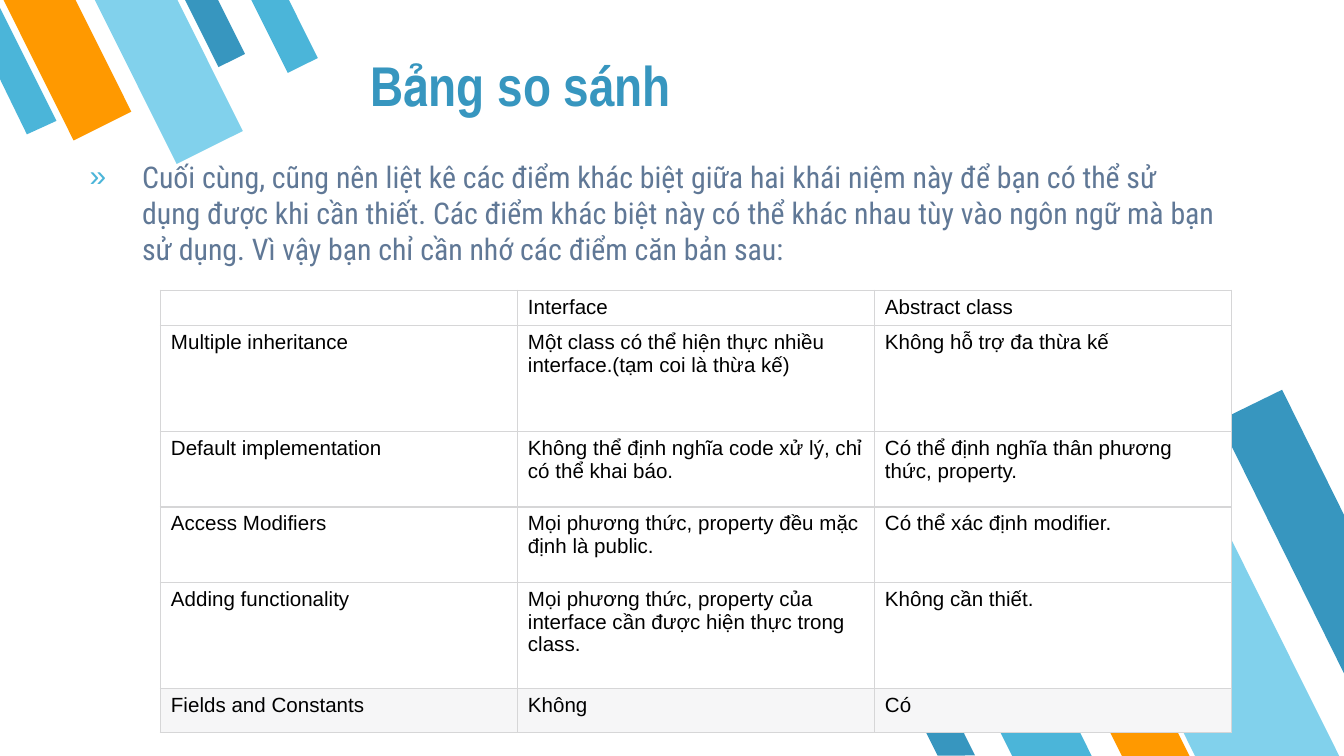
from collections import namedtuple

from lxml.etree import SubElement
from pptx import Presentation
from pptx.dml.color import RGBColor
from pptx.enum.shapes import MSO_SHAPE
from pptx.enum.text import MSO_ANCHOR, MSO_AUTO_SIZE, PP_ALIGN
from pptx.oxml.ns import qn
from pptx.util import Inches, Pt

# The slide is a grid of 100 columns by 56.25 rows; every box is given in it.
WIDTH, HEIGHT = Inches(10), Inches(5.625)
COL, ROW = WIDTH / 100, HEIGHT / 56.25
Box = namedtuple("Box", "x y w h")

COLORS = {
    "deep": "3796BF", "mid": "4BB5D9", "pale": "81D1EC", "orange": "FF9900",
    "body": "607896", "black": "000000", "border": "D6D6D7",
    "white": "FFFFFF", "shade": "F6F6F7",
}

INTRO = (
    "Cuối cùng, cũng nên liệt kê các điểm khác biệt giữa hai khái niệm này để bạn có thể "
    "sử dụng được khi cần thiết. Các điểm khác biệt này có thể khác nhau tùy vào ngôn ngữ "
    "mà bạn sử dụng. Vì vậy bạn chỉ cần nhớ các điểm căn bản sau:"
)

# Height in grid rows, then the cells
COMPARISON = [
    (2.5, ["", "Interface", "Abstract class"]),
    (7.9, ["Multiple inheritance",
           "Một class có thể hiện thực nhiều interface.(tạm coi là thừa kế)",
           "Không hỗ trợ đa thừa kế"]),
    (5.6, ["Default implementation",
           "Không thể định nghĩa code xử lý, chỉ có thể khai báo.",
           "Có thể định nghĩa thân phương thức, property."]),
    (5.6, ["Access Modifiers",
           "Mọi phương thức, property đều mặc định là public.",
           "Có thể xác định modifier."]),
    (7.9, ["Adding functionality",
           "Mọi phương thức, property của interface cần được hiện thực trong class.",
           "Không cần thiết."]),
    (3.3, ["Fields and Constants", "Không", "Có"]),
]

# Stripes (x, y, width, height, colour) and cut-off stripe, relative to their corner box
TOP_LEFT = [
    (14.9, -0.8, 2.2, 5.6, "deep"), (2.6, -1.8, 4.8, 11.8, "orange"),
    (9.8, -2, 5.5, 13.7, "pale"), (19.9, -1, 2.5, 6.2, "mid"),
]
TOP_LEFT_EDGE = [(2, 10), (4.2, 9), (0, 0.6), (0, 5.9)]
BOTTOM_RIGHT = [
    (5.3, 16, 5.3, 13.2, "mid"), (17.3, 6.9, 9.6, 23.9, "pale"),
    (13.8, 17.8, 4.5, 11.1, "orange"), (0.8, 21.9, 2.5, 6.2, "deep"),
]
BOTTOM_RIGHT_EDGE = [(27.4, 0), (22.7, 2.3), (32, 21.1), (32, 9.3)]


def emu(box):
    return int(box.x * COL), int(box.y * ROW), int(box.w * COL), int(box.h * ROW)


def rgb(name):
    return RGBColor.from_string(COLORS[name])


def paint(shape, color):
    shape.shadow.inherit = False
    shape.fill.solid()
    shape.fill.fore_color.rgb = rgb(color)
    shape.line.fill.background()


def format_runs(paragraph, font, size, color, bold=False):
    for run in paragraph.runs:
        run.font.name, run.font.size, run.font.bold = font, Pt(size), bold
        run.font.color.rgb = rgb(color)


def set_insets(target, side, top):
    target.margin_left = target.margin_right = Inches(side)
    target.margin_top = target.margin_bottom = Inches(top)


def add_corner(slide, box, stripes, edge, edge_color, rotation):
    """Slanted stripes, and one stripe cut off by the slide's edge."""
    for x, y, w, h, color in stripes:
        stripe = slide.shapes.add_shape(
            MSO_SHAPE.FLOWCHART_MANUAL_INPUT, *emu(Box(box.x + x, box.y + y, w, h)))
        stripe.rotation = rotation
        stripe._element.spPr.xfrm.set("flipH", "1")
        paint(stripe, color)
    points = [(int((box.x + x) * COL), int((box.y + y) * ROW)) for x, y in edge]
    outline = slide.shapes.build_freeform(*points[0])
    outline.add_line_segments(points[1:], close=True)
    paint(outline.convert_to_shape(), edge_color)


def add_title(slide, box):
    title = slide.shapes.title
    title.left, title.top, title.width, title.height = emu(box)
    frame = title.text_frame
    frame.text = "Bảng so sánh"
    frame.auto_size = MSO_AUTO_SIZE.NONE
    frame.vertical_anchor = MSO_ANCHOR.BOTTOM
    set_insets(frame, 0.1, 0.1)
    frame.paragraphs[0].alignment = PP_ALIGN.LEFT
    format_runs(frame.paragraphs[0], "Arial Narrow", 30, "deep", bold=True)


def add_intro(slide, box):
    frame = slide.shapes.add_textbox(*emu(box)).text_frame
    frame.word_wrap = True
    set_insets(frame, 0.1, 0.1)
    frame.text = INTRO
    paragraph = frame.paragraphs[0]
    paragraph.space_before = Pt(6)
    format_runs(paragraph, "Roboto Condensed", 16, "body")
    properties = paragraph._p.get_or_add_pPr()
    properties.set("marL", str(Inches(0.5)))
    properties.set("indent", str(Inches(-0.39)))
    bullet_color = SubElement(properties, qn("a:buClr"))
    SubElement(bullet_color, qn("a:srgbClr"), val=COLORS["mid"])
    SubElement(properties, qn("a:buFont"), typeface="Arial")
    SubElement(properties, qn("a:buChar"), char="»")


def add_borders(cell):
    """Borders must precede the fill in the cell's properties."""
    properties = cell._tc.get_or_add_tcPr()
    for side in ("L", "R", "T", "B"):
        line = SubElement(properties, qn(f"a:ln{side}"), w=str(Pt(0.75)))
        fill = SubElement(line, qn("a:solidFill"))
        SubElement(fill, qn("a:srgbClr"), val=COLORS["border"])


def add_comparison(slide, box):
    columns = len(COMPARISON[0][1])
    table = slide.shapes.add_table(len(COMPARISON), columns, *emu(box)).table
    table.first_row = table.horz_banding = False
    for column in table.columns:
        column.width = int(box.w * COL / columns)
    for r, (height, texts) in enumerate(COMPARISON):
        table.rows[r].height = int(height * ROW)
        for c, text in enumerate(texts):
            cell = table.cell(r, c)
            set_insets(cell, 0.08, 0.04)
            add_borders(cell)
            cell.fill.solid()
            cell.fill.fore_color.rgb = rgb("shade" if r == len(COMPARISON) - 1 else "white")
            if text:
                cell.text_frame.text = text
                format_runs(cell.text_frame.paragraphs[0], "Arial", 11, "black")
            else:  # keeps the empty cell from stretching its row
                SubElement(cell.text_frame.paragraphs[0]._p, qn("a:endParaRPr"), sz="1100")


def main():
    presentation = Presentation()
    presentation.slide_width, presentation.slide_height = WIDTH, HEIGHT
    slide = presentation.slides.add_slide(presentation.slide_layouts[5])
    add_corner(slide, Box(68, 29, 32, 27.25), BOTTOM_RIGHT, BOTTOM_RIGHT_EDGE, "deep", 153.5)
    add_corner(slide, Box(0, 0, 24, 12.5), TOP_LEFT, TOP_LEFT_EDGE, "mid", 333.5)
    add_title(slide, Box(26.55, 1.05, 53.9, 8.7))
    add_intro(slide, Box(4.6, 10.8, 87, 44.4))
    add_comparison(slide, Box(11.92, 21.6, 79.7, 32.8))
    presentation.save("out.pptx")


if __name__ == "__main__":
    main()
